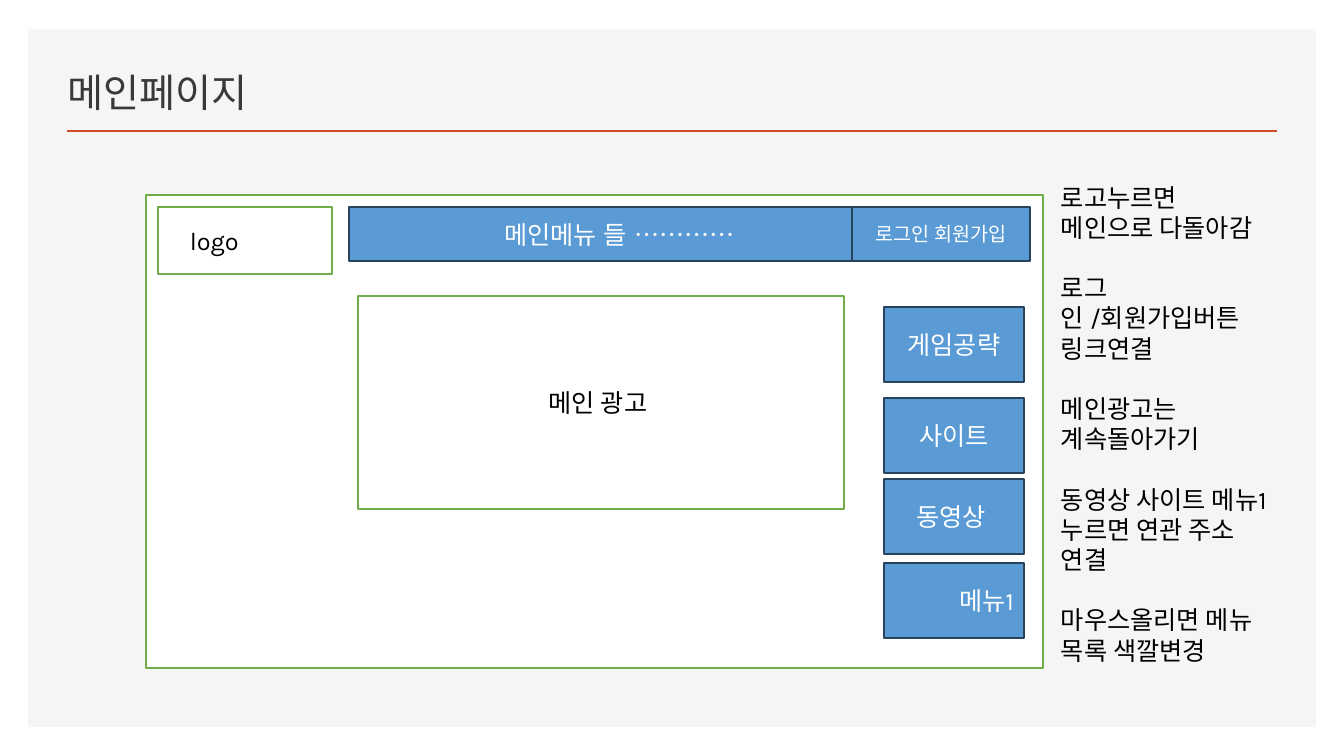
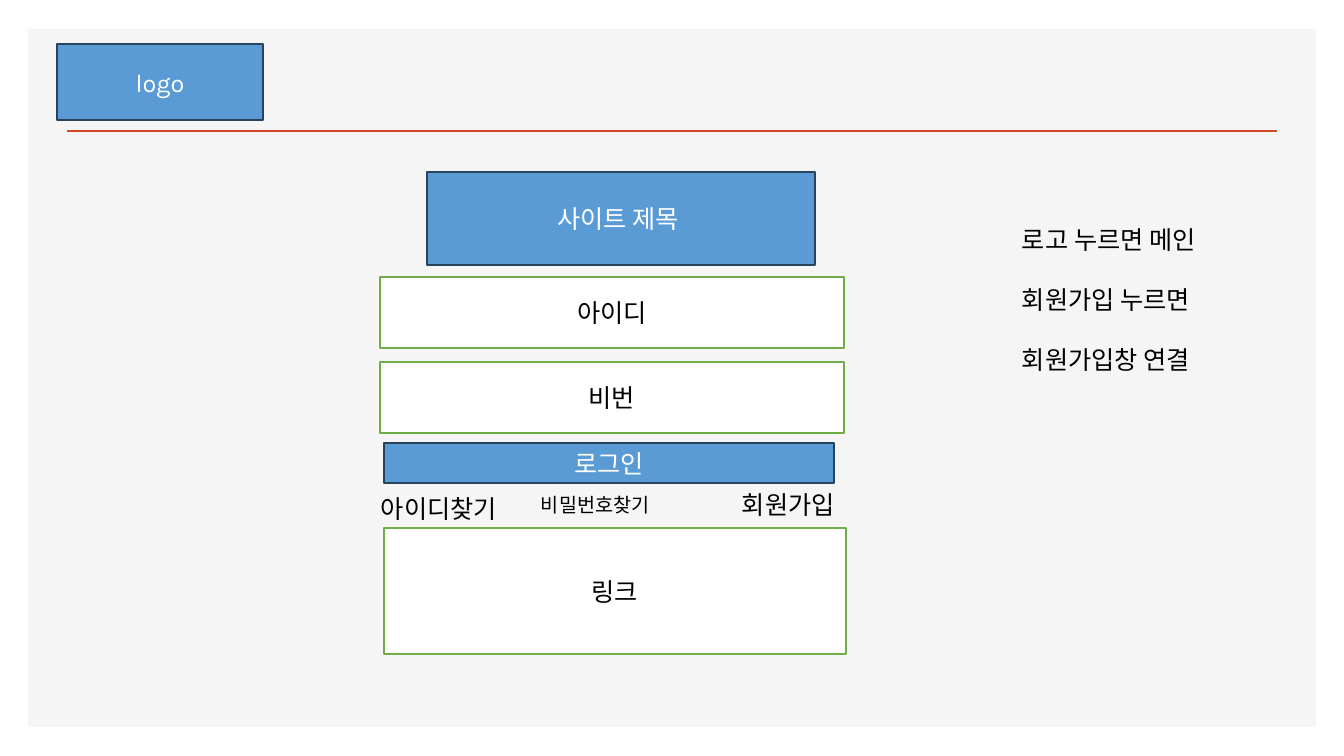
"""Build two wireframe slides: the main page and the login page."""
from dataclasses import dataclass

from lxml import etree
from pptx import Presentation
from pptx.dml.color import RGBColor
from pptx.enum.lang import MSO_LANGUAGE_ID
from pptx.enum.shapes import MSO_CONNECTOR, MSO_SHAPE
from pptx.enum.text import MSO_ANCHOR, MSO_AUTO_SIZE, PP_ALIGN
from pptx.oxml.ns import qn
from pptx.util import Emu, Pt

KOREAN = MSO_LANGUAGE_ID.KOREAN
STRAIGHT = MSO_CONNECTOR.STRAIGHT
RECTANGLE = MSO_SHAPE.RECTANGLE
BOTTOM, MIDDLE = MSO_ANCHOR.BOTTOM, MSO_ANCHOR.MIDDLE
FIXED = MSO_AUTO_SIZE.NONE
LEFT, CENTER, RIGHT = PP_ALIGN.LEFT, PP_ALIGN.CENTER, PP_ALIGN.RIGHT

EMU_PER_PX = 914400 / 100.8
SLIDE_SIZE = (1344, 756)
TITLE_ONLY, BLANK = 5, 6


@dataclass(frozen=True)
class Theme:
    """Colours, fonts and type sizes of both slides."""

    panel: str = "F5F5F5"
    rule: str = "D24726"
    title: str = "3B3838"
    text: str = "000000"
    white: str = "FFFFFF"
    button: str = "5B9BD5"
    button_line: str = "28445D"
    area_line: str = "70AD47"
    title_font: str = "Noto Sans CJK KR"
    body_font: str = "Karla"
    title_size: int = 28
    body_size: int = 18
    small_size: int = 14
    note_gap: float = 21.5
    rule_width: int = 2
    box_width: int = 1


THEME = Theme()
BOX_STYLES = {
    "button": (THEME.button, THEME.button_line, THEME.white),
    "area": (THEME.white, THEME.area_line, THEME.text),
}
BODY, SMALL = THEME.body_size, THEME.small_size

PANEL = (28, 29, 1288, 698)
RULE = (67, 131, 1277)
TITLE = (57, 49, 897, 71)

SIDE_BUTTONS = [("게임공략", 307, CENTER), ("사이트", 398, CENTER),
                ("동영상 ", 479, CENTER), ("메뉴1", 563, RIGHT)]

SLIDES = [
    {
        "title": "메인페이지",
        "boxes": [
            ("area", "", (146, 195, 897, 473), BODY, CENTER),
            ("area", "", (158, 207, 174, 67), BODY, CENTER),
            ("button", "메인메뉴 들 …………", (349, 207, 541, 54), BODY, CENTER),
            ("button", "로그인 회원가입", (852, 207, 178, 54), SMALL, CENTER),
            ("area", "메인 광고 ", (358, 296, 486, 213), BODY, CENTER),
            *[("button", text, (884, top, 140, 75), BODY, align)
              for text, top, align in SIDE_BUTTONS],
        ],
        "labels": [
            (["logo"], (180, 220, 130, 40), BODY),
            (["로고누르면 메인으로 다돌아감",
              "로그인 /회원가입버튼 링크연결",
              "메인광고는 계속돌아가기",
              "동영상 사이트 메뉴1 누르면 연관 주소 연결",
              "마우스올리면 메뉴 목록 색깔변경"], (1051, 177, 226, 591), BODY),
        ],
    },
    {
        "title": None,
        "boxes": [
            ("button", "logo", (57, 44, 206, 76), BODY, CENTER),
            ("button", "사이트 제목 ", (427, 172, 388, 93), BODY, CENTER),
            ("area", "아이디", (380, 277, 464, 71), BODY, CENTER),
            ("area", "비번", (380, 362, 464, 71), BODY, CENTER),
            ("button", "로그인", (384, 443, 450, 40), BODY, CENTER),
            ("area", "링크", (384, 528, 462, 126), BODY, CENTER),
        ],
        "labels": [
            (["아이디찾기"], (371, 488, 161, 40), BODY),
            (["비밀번호찾기"], (531, 488, 161, 34), SMALL),
            (["회원가입"], (732, 484, 161, 40), BODY),
            (["로고 누르면 메인", "회원가입 누르면", "회원가입창 연결"],
             (1012, 219, 225, 224), BODY),
        ],
    },
]


def px(*lengths):
    return [Emu(round(length * EMU_PER_PX)) for length in lengths]


def color(value):
    return RGBColor.from_string(value)


def add_run(paragraph, text, size, text_color, font_name):
    run = paragraph.add_run()
    run.text = text
    font = run.font
    font.name = font_name
    font.size = Pt(size)
    font.color.rgb = color(text_color)
    font.language_id = KOREAN
    latin = run._r.rPr.find(qn("a:latin"))
    typeface = THEME.title_font if "…" in text else font_name
    latin.addnext(etree.Element(qn("a:ea"), typeface=typeface))


def add_rectangle(slide, place, fill, line=None):
    shape = slide.shapes.add_shape(RECTANGLE, *px(*place))
    shape.shadow.inherit = False
    shape.fill.solid()
    shape.fill.fore_color.rgb = color(fill)
    if line:
        shape.line.color.rgb = color(line)
        shape.line.width = Pt(THEME.box_width)
    else:
        shape.line.fill.background()
    return shape


def add_frame(slide):
    left, top, right = RULE
    panel = add_rectangle(slide, PANEL, THEME.panel)
    rule = slide.shapes.add_connector(STRAIGHT, *px(left, top, right, top))
    rule.line.color.rgb = color(THEME.rule)
    rule.line.width = Pt(THEME.rule_width)
    etree.SubElement(rule.element.spPr, qn("a:effectLst"))
    return panel, rule


def add_title(slide, text, frame):
    title = slide.shapes.title
    for shape in frame:
        title.element.addprevious(shape.element)
    title.left, title.top, title.width, title.height = px(*TITLE)
    text_frame = title.text_frame
    text_frame.auto_size = FIXED
    text_frame.vertical_anchor = BOTTOM
    paragraph = text_frame.paragraphs[0]
    paragraph.alignment = LEFT
    add_run(paragraph, text, THEME.title_size, THEME.title, THEME.title_font)


def add_box(slide, style, text, place, size, align):
    fill, line, text_color = BOX_STYLES[style]
    shape = add_rectangle(slide, place, fill, line)
    if text:
        shape.text_frame.vertical_anchor = MIDDLE
        paragraph = shape.text_frame.paragraphs[0]
        paragraph.alignment = align
        add_run(paragraph, text, size, text_color, THEME.body_font)


def add_label(slide, texts, place, size):
    text_frame = slide.shapes.add_textbox(*px(*place)).text_frame
    text_frame.word_wrap = True
    for index, text in enumerate(texts):
        paragraph = text_frame.add_paragraph() if index else text_frame.paragraphs[0]
        if index:
            paragraph.space_before = Pt(THEME.note_gap)
        add_run(paragraph, text, size, THEME.text, THEME.body_font)


def main():
    presentation = Presentation()
    presentation.slide_width, presentation.slide_height = px(*SLIDE_SIZE)
    for content in SLIDES:
        layout = TITLE_ONLY if content["title"] else BLANK
        slide = presentation.slides.add_slide(presentation.slide_layouts[layout])
        frame = add_frame(slide)
        if content["title"]:
            add_title(slide, content["title"], frame)
        for box in content["boxes"]:
            add_box(slide, *box)
        for label in content["labels"]:
            add_label(slide, *label)
    presentation.save("out.pptx")


if __name__ == "__main__":
    main()
